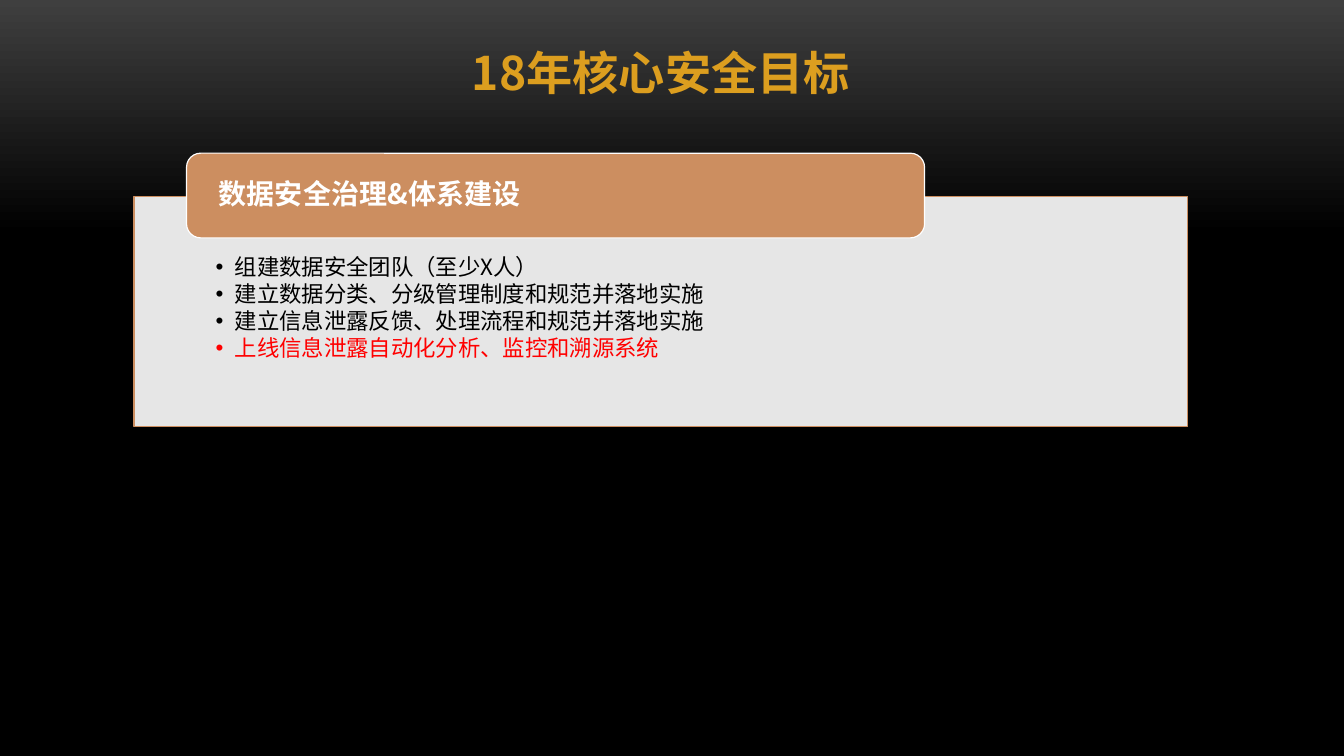
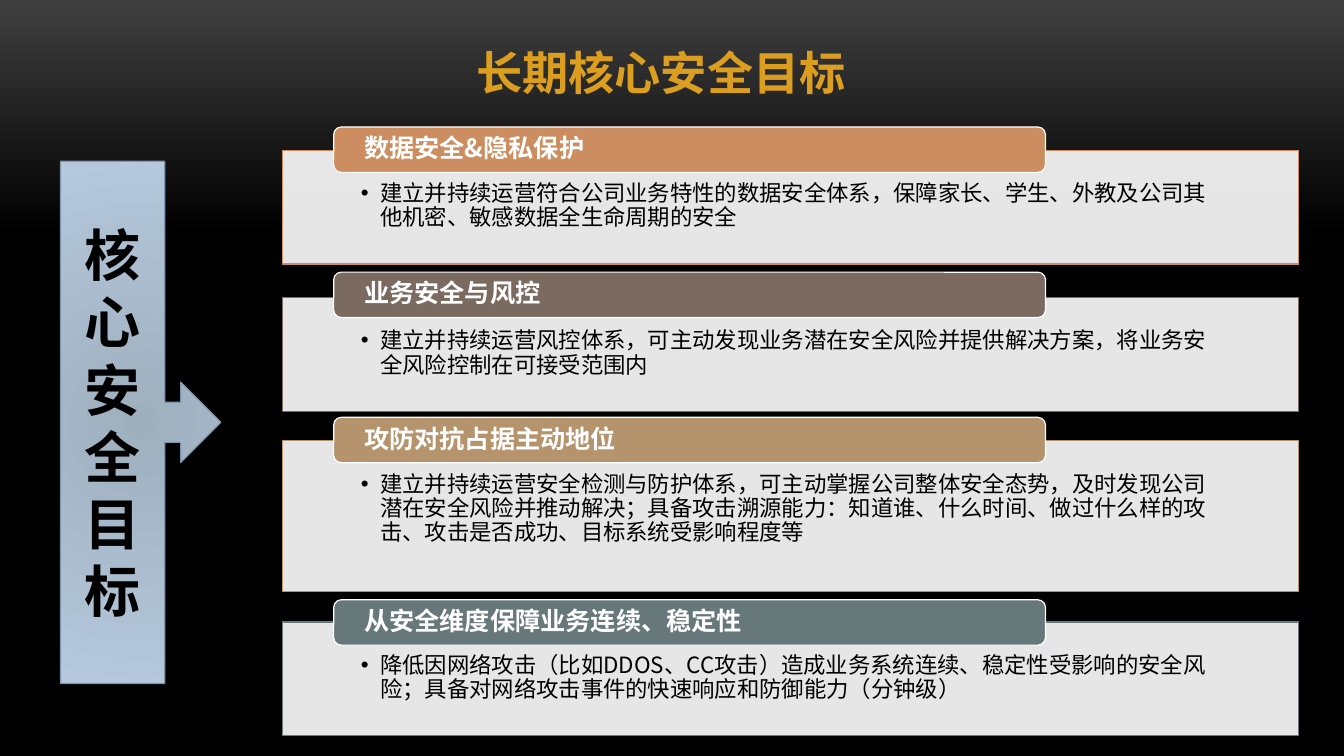
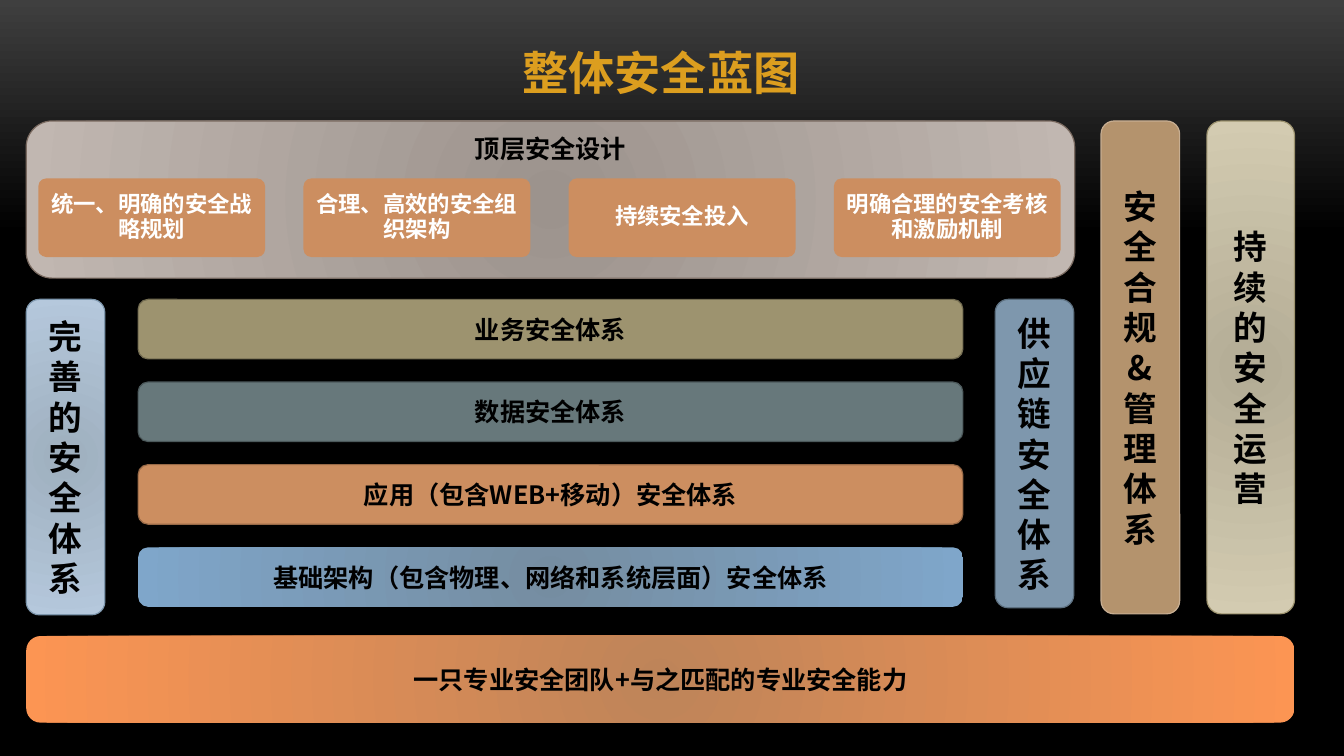
import pptx
import pptx.util
import pptx.dml.color
import pptx.enum.shapes
import pptx.enum.text
import pptx.oxml.ns
from lxml import etree

SCALE = 9144
FACE = "Noto Sans CJK SC"
Pt = pptx.util.Pt
qn = pptx.oxml.ns.qn
SHAPE = pptx.enum.shapes.MSO_SHAPE
ALIGN = pptx.enum.text.PP_ALIGN
ANCHOR = pptx.enum.text.MSO_ANCHOR

HUES = {
    "gold": "DC9E1F", "white": "FFFFFF", "black": "000000", "red": "FF0000",
    "smoke": "3F3F3F", "clay": "CC8E60", "umber": "7A6A60", "tan": "B4936D",
    "slate": "67787B", "steel": "7E97AD", "olive": "9D936F",
    "rust": "976947", "pine": "4C595B", "moss": "746D52", "navy": "5D7080",
    "cream": "C7AE92",
}
BLENDS = {
    "ice": ("9EAFBE", "B5C8DC"), "stone": ("9C938D", "C1B7B1"),
    "blue": ("758DA1", "7FA6CA"), "flame": ("BE8459", "FC9553"),
    "sand": ("B3AC95", "D3CBB1"),
}


def style(size, hue="black", bold=True, align=ALIGN.CENTER,
          anchor=ANCHOR.MIDDLE, pads=(5, 5, 5, 5), name=FACE, lead=1.0, after=0):
    sides = ("left", "top", "right", "bottom")
    frame = {"margin_" + side: px(pad) for side, pad in zip(sides, pads)}
    frame.update(word_wrap=True, vertical_anchor=anchor,
                 auto_size=pptx.enum.text.MSO_AUTO_SIZE.NONE)
    para = {"alignment": align, "line_spacing": lead,
            "space_before": Pt(0), "space_after": Pt(after)}
    font = {"size": Pt(size), "bold": bold, "name": name}
    return {"frame": frame, "para": para, "font": font, "hue": hue}


def px(count):
    return pptx.util.Emu(count * SCALE)


def rgb(code):
    return pptx.dml.color.RGBColor.from_string(code)


def apply(target, values):
    for key, value in values.items():
        setattr(target, key, value)


def place(shape, box):
    apply(shape, dict(zip(("left", "top", "width", "height"), map(px, box))))


def write(shape, lines, look, mark=False):
    frame = shape.text_frame
    frame.text = "\n".join(lines)
    apply(frame, look["frame"])
    for para in frame.paragraphs:
        if mark:
            props = para._p.get_or_add_pPr()
            props.set("marL", str(px(19)))
            props.set("indent", str(px(-19)))
            etree.SubElement(props, qn("a:buFont")).set("typeface", "Arial")
            etree.SubElement(props, qn("a:buChar")).set("char", "•")
        apply(para, look["para"])
        for run in para.runs:
            apply(run.font, look["font"])
            run.font.color.rgb = rgb(HUES[look["hue"]])
            props = run._r.get_or_add_rPr()
            etree.SubElement(props, qn("a:ea")).set("typeface", FACE)


def edge(shape, hue, width=0.85):
    if hue:
        shape.line.color.rgb = rgb(HUES[hue])
        shape.line.width = Pt(width)
    else:
        shape.line.fill.background()


def ramp(fill, codes, spots):
    fill.gradient()
    for stop, code, spot in zip(fill.gradient_stops, codes, spots):
        stop.color.rgb = rgb(code)
        stop.position = spot


def glow(shape, codes):
    ramp(shape.fill, codes, (0, 1))
    node = shape._element.spPr.find(qn("a:gradFill"))
    node.remove(node.find(qn("a:lin")))
    ring = etree.SubElement(node, qn("a:path"))
    ring.set("path", "circle")
    rect = etree.SubElement(ring, qn("a:fillToRect"))
    for side in "ltrb":
        rect.set(side, "100000")


def block(slide, box, paint, rim, text, look, kind=SHAPE.ROUNDED_RECTANGLE):
    shape = slide.shapes.add_shape(kind, *map(px, box))
    shape.shadow.inherit = False
    if paint in BLENDS:
        glow(shape, BLENDS[paint])
    else:
        shape.fill.solid()
        shape.fill.fore_color.rgb = rgb(HUES[paint])
    edge(shape, rim)
    write(shape, [text], look)
    return shape


def panel(holder, box, hue, lines, look):
    place(holder, box)
    holder.fill.solid()
    holder.fill.fore_color.rgb = rgb(HUES["white"])
    color = holder._element.spPr.find(qn("a:solidFill"))[0]
    etree.SubElement(color, qn("a:alpha")).set("val", "90000")
    edge(holder, hue)
    write(holder, lines, look, mark=True)


def banner(slide, box, hue, text, size):
    look = style(size, "white", align=ALIGN.LEFT, pads=(28, 0, 28, 0), lead=0.9)
    block(slide, box, hue, "white", text, look)


def start(deck, layout, title):
    slide = deck.slides.add_slide(deck.slide_layouts[layout])
    place(slide.shapes.title, (384, 39, 543, 66))
    write(slide.shapes.title, [title], style(33, "gold", anchor=ANCHOR.TOP))
    return slide


def listing(pads):
    return style(16, bold=False, align=ALIGN.LEFT, anchor=ANCHOR.TOP,
                 pads=pads, lead=0.9, after=2)


def yearly(deck):
    slide = start(deck, 1, "18年核心安全目标")
    body = slide.placeholders[1]
    panel(body, (133, 195, 1045, 228), "clay", [
        "组建数据安全团队（至少X人）",
        "建立数据分类、分级管理制度和规范并落地实施",
        "建立信息泄露反馈、处理流程和规范并落地实施",
        "上线信息泄露自动化分析、监控和溯源系统",
    ], listing((81, 59, 81, 12)))
    last = body.text_frame.paragraphs[-1].runs[0]
    last.font.color.rgb = rgb(HUES["red"])
    banner(slide, (185, 152, 732, 84), "clay", "数据安全治理&体系建设", 20)


def lasting(deck):
    slide = start(deck, 4, "长期核心安全目标")
    goals = [
        (126, 149, 113, "clay", "数据安全&隐私保护",
         "建立并持续运营符合公司业务特性的数据安全体系，保障家长、学生、外教及公司其他机密、敏感数据全生命周期的安全"),
        (270, 295, 113, "umber", "业务安全与风控",
         "建立并持续运营风控体系，可主动发现业务潜在安全风险并提供解决方案，将业务安全风险控制在可接受范围内"),
        (414, 437, 150, "tan", "攻防对抗占据主动地位",
         "建立并持续运营安全检测与防护体系，可主动掌握公司整体安全态势，及时发现公司潜在安全风险并推动解决；具备攻击溯源能力：知道谁、什么时间、做过什么样的攻击、攻击是否成功、目标系统受影响程度等"),
        (595, 617, 113, "slate", "从安全维度保障业务连续、稳定性",
         "降低因网络攻击（比如DDOS、CC攻击）造成业务系统连续、稳定性受影响的安全风险；具备对网络攻击事件的快速响应和防御能力（分钟级）"),
    ]
    look = listing((78, 32, 78, 12))
    for index, (head, top, tall, hue, name, text) in enumerate(goals, 1):
        panel(slide.placeholders[index], (280, top, 1008, tall), hue, [text], look)
        banner(slide, (331, head, 706, 45), hue, name, 18)
    block(slide, (60, 160, 159, 518), "ice", "steel", "核心安全目标",
          style(40, name="Arial Narrow"), SHAPE.RIGHT_ARROW_CALLOUT)


def overall(deck):
    slide = start(deck, 5, "整体安全蓝图")
    block(slide, (26, 120, 1040, 156), "stone", "umber", "顶层安全设计",
          style(18, anchor=ANCHOR.TOP, name="Arial Narrow"))
    tiles = ["统一、明确的安全战略规划", "合理、高效的安全组织架构",
             "持续安全投入", "明确合理的安全考核和激励机制"]
    look = style(16, "white", pads=(7, 7, 7, 7), lead=0.9)
    for index, text in enumerate(tiles):
        tile = block(slide, (38 + 263 * index, 177, 225, 78), "clay", None, text, look)
        tile.adjustments[0] = 0.1

    bars = [("olive", "moss", "业务安全体系"),
            ("slate", "pine", "数据安全体系"),
            ("clay", "rust", "应用（包含WEB+移动）安全体系"),
            ("blue", None, "基础架构（包含物理、网络和系统层面）安全体系")]
    look = style(18)
    for index, (paint, rim, text) in enumerate(bars):
        block(slide, (137, 297 + 82 * index, 818, 59), paint, rim, text, look)
    block(slide, (26, 631, 1258, 86), "flame", None,
          "一只专业安全团队+与之匹配的专业安全能力", look)

    posts = [((26, 297, 78, 313), "ice", "steel", "完善的安全体系"),
             ((987, 297, 78, 306), "steel", "navy", "供应链安全体系"),
             ((1092, 120, 78, 489), "tan", "cream", "安全合规&管理体系"),
             ((1197, 120, 87, 489), "sand", "olive", "持续的安全运营")]
    look = style(24, pads=(10, 5, 10, 5))
    for box, paint, rim, text in posts:
        block(slide, box, paint, rim, text, look)


def main():
    deck = pptx.Presentation()
    apply(deck, {"slide_width": px(1333), "slide_height": px(750)})
    fill = deck.slide_master.background.fill
    ramp(fill, (HUES["smoke"], HUES["black"]), (0, 0.31))
    fill.gradient_angle = 270
    yearly(deck)
    lasting(deck)
    overall(deck)
    deck.save("out.pptx")


if __name__ == "__main__":
    main()
